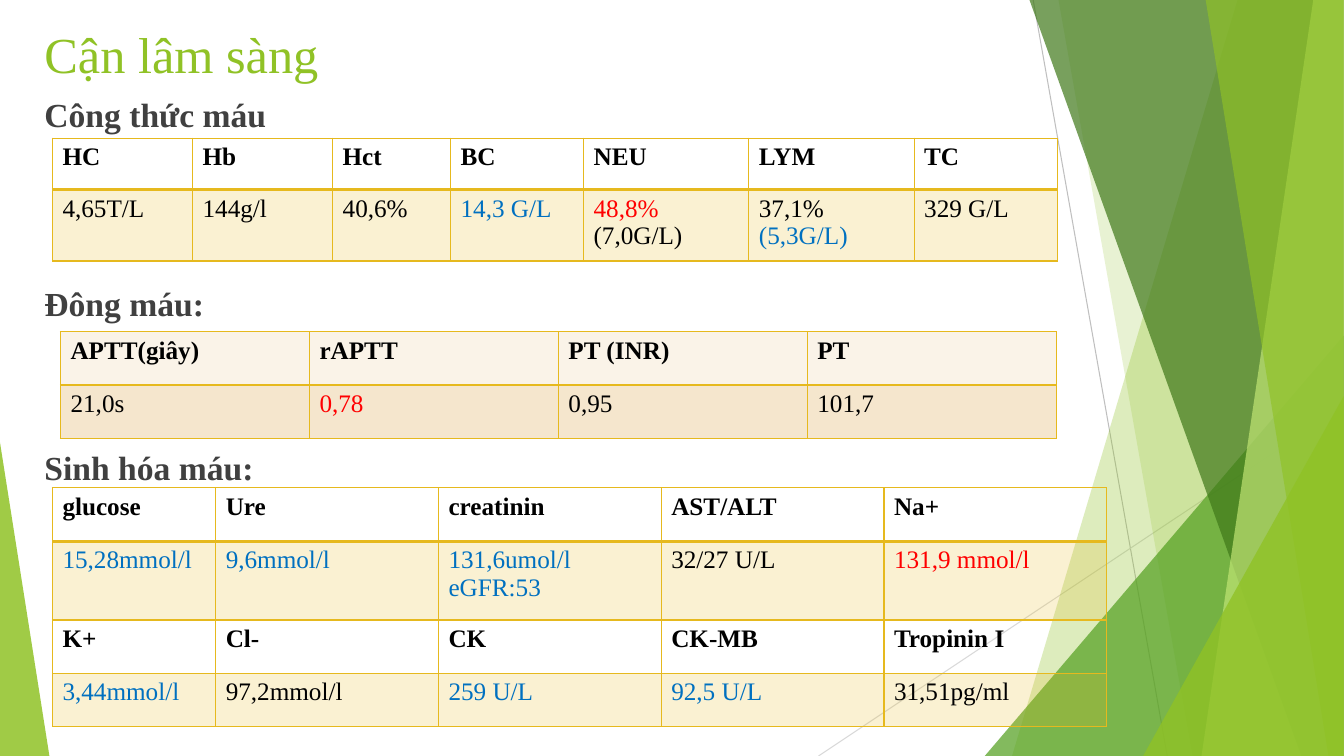
from lxml import etree
from pptx import Presentation
from pptx import util as u
from pptx.dml.color import RGBColor
from pptx.enum import shapes, text
from pptx.oxml import ns

# ---- Content
FONT = "Times New Roman"
COLORS = {
    "lime": "90C226", "green": "54A021", "forest": "3F7819", "pale": "C0E474",
    "gold": "E6B91E", "cream": "FAF3E8", "sand": "F5E6CD", "heading": "404040",
    "black": "000000", "red": "FF0000", "blue": "0070C0",
    "grey": "BFBFBF", "silver": "D9D9D9",
}
TITLE = "Cận lâm sàng"
# heading, space before in points
HEADINGS = [("Công thức máu", 3), ("Đông máu:", 106), ("Sinh hóa máu:", 89)]

# A cell is plain black text or a list of lines, each a list of (text, colour) runs
BLOOD_COUNT = [
    ["HC", "Hb", "Hct", "BC", "NEU", "LYM", "TC"],
    ["4,65T/L", "144g/l", "40,6%", [[("14,3 G/L", "blue")]],
     [[("48,8% ", "red"), ("(7,0G/L)", "black")]],
     [[("37,1%", "black")], [("(5,3G/L)", "blue")]], "329 G/L"],
]
BIOCHEMISTRY = [
    ["glucose", "Ure", "creatinin", "AST/ALT", "Na+"],
    [[[("15,28mmol/l", "blue")]], [[("9,6mmol/l", "blue")]],
     [[("131,6umol/l", "blue")], [("eGFR:53", "blue")]],
     "32/27 U/L", [[("131,9 mmol/l", "red")]]],
    ["K+", "Cl-", "CK", "CK-MB", "Tropinin I"],
    [[[("3,44mmol/l", "blue")]], "97,2mmol/l", [[("259 U/L", "blue")]],
     [[("92,5 U/L", "blue")]], "31,51pg/ml"],
]
COAGULATION = [
    ["APTT(giây)", "rAPTT", "PT (INR)", "PT"],
    ["21,0s", [[("0,78", "red")]], "0,95", "101,7"],
]
# Fills of (label rows, value rows): colour and opacity, or None
TINTED = (None, ("gold", 20))
SANDY = (("cream", 100), ("sand", 100))
# left, top, column widths, row heights, cells, fills, line under first row
TABLES = [
    (52, 137, [139, 139, 117, 132, 164, 164, 142], [51, 71], BLOOD_COUNT, TINTED, 2),
    (52, 484, [162] + [221] * 4, [53, 78, 53, 53], BIOCHEMISTRY, TINTED, 2),
    (60, 329, [247] * 4, [53, 53], COAGULATION, SANDY, 1),
]

# Background facets
W, H = 1333, 750
LINES = [((1025, 0), (1158, H), "grey"), ((W, 403), (812, H), "silver")]
# top-left x, bottom-left x, colour, opacity; each reaches the right edge
BANDS = {
    "back": [(1228, 1004, "lime", 30), (1050, 1183, "lime", 20)],
    "front": [(1021, 1291, "forest", 70), (1303, 1192, "pale", 70),
              (1196, 1318, "lime", 65)],
}
# left, top, width, apex position, colour, opacity; each stands on the bottom edge
TRIANGLES = {
    "back": [(977, 333, 356, 1, "green", 72)],
    "front": [(1134, 393, 199, 1, "lime", 80), (0, 439, 49, 0, "lime", 85)],
}


# ---- Helpers
def px(n):
    return u.Emu(n * 9144)


def rgb(name):
    return RGBColor.from_string(COLORS[name])


def paint(fill, name, opacity):
    fill.solid()
    fill.fore_color.rgb = rgb(name)
    if opacity < 100:
        clr = fill._xPr.find(".//" + ns.qn("a:srgbClr"))
        etree.SubElement(clr, ns.qn("a:alpha"), val=str(opacity * 1000))


def style(font, size, color, bold):
    font.name, font.size, font.bold = FONT, u.Pt(size), bold
    font.color.rgb = rgb(color)


def finish_facet(sp, color, opacity):
    sp.shadow.inherit = False
    paint(sp.fill, color, opacity)
    sp.line.fill.background()


def add_facets(layer):
    for top_x, bottom_x, color, opacity in BANDS[layer]:
        fb = s.shapes.build_freeform(top_x, -1, scale=9144)
        fb.add_line_segments([(W, -1), (W, H), (bottom_x, H)], close=True)
        finish_facet(fb.convert_to_shape(), color, opacity)
    for x, y, w, apex, color, opacity in TRIANGLES[layer]:
        sp = s.shapes.add_shape(shapes.MSO_SHAPE.ISOSCELES_TRIANGLE,
                                px(x), px(y), px(w), px(H - y))
        sp.adjustments[0] = apex
        finish_facet(sp, color, opacity)


def set_borders(cell, top, bottom):
    tcPr = cell._tc.get_or_add_tcPr()
    for i, (side, width) in enumerate([("L", 1), ("R", 1), ("T", top), ("B", bottom)]):
        ln = etree.Element(ns.qn("a:ln" + side), w=str(u.Pt(width)))
        fill = etree.SubElement(ln, ns.qn("a:solidFill"))
        etree.SubElement(fill, ns.qn("a:srgbClr"), val=COLORS["gold"])
        tcPr.insert(i, ln)


def fill_cell(cell, content, bold):
    lines = [[(content, "black")]] if isinstance(content, str) else content
    tf = cell.text_frame
    for i, runs in enumerate(lines):
        p = tf.add_paragraph() if i else tf.paragraphs[0]
        for words, color in runs:
            r = p.add_run()
            r.text = words
            style(r.font, 18, color, bold)


def add_lab_table(x, y, cols, rows, cells, fills, rule):
    tbl = s.shapes.add_table(len(rows), len(cols), px(x), px(y),
                             px(sum(cols)), px(sum(rows))).table
    tbl.first_row = tbl.horz_banding = False
    for c, w in enumerate(cols):
        tbl.columns[c].width = px(w)
    for r, h in enumerate(rows):
        tbl.rows[r].height = px(h)
        for c, content in enumerate(cells[r]):
            cell = tbl.cell(r, c)
            fill_cell(cell, content, bold=r % 2 == 0)
            if fills[r % 2]:
                paint(cell.fill, *fills[r % 2])
            else:
                cell.fill.background()
            set_borders(cell, rule if r == 1 else 1, rule if r == 0 else 1)


def place(sp, x, y, w, h):
    sp.left, sp.top, sp.width, sp.height = px(x), px(y), px(w), px(h)
    s.shapes.element.append(sp.element)  # in front of the facets
    tf = sp.text_frame
    tf.auto_size = text.MSO_AUTO_SIZE.NONE
    return tf


# ---- Slide
prs = Presentation()
prs.slide_width, prs.slide_height = u.Emu(12192000), u.Emu(6858000)
s = prs.slides.add_slide(prs.slide_layouts[1])

# Background
for start, end, color in LINES:
    cx = s.shapes.add_connector(shapes.MSO_CONNECTOR.STRAIGHT,
                                *map(px, start + end))
    cx.line.color.rgb, cx.line.width = rgb(color), u.Pt(0.75)
    etree.SubElement(cx.element.spPr, ns.qn("a:effectLst"))
add_facets("back")
add_facets("front")

# Title
tf = place(s.shapes.title, 34, 18, 1160, 70)
tf.vertical_anchor = text.MSO_ANCHOR.BOTTOM
p = tf.paragraphs[0]
p.text, p.alignment = TITLE, text.PP_ALIGN.LEFT
style(p.font, 36, "lime", False)

# Section headings
tf = place(s.placeholders[1], 34, 88, 1208, 588)
for i, (heading, gap) in enumerate(HEADINGS):
    p = tf.add_paragraph() if i else tf.paragraphs[0]
    p.text, p.space_before = heading, u.Pt(gap)
    style(p.font, 24, "heading", True)
    pPr = p._p.get_or_add_pPr()
    pPr.set("marL", "0")
    pPr.set("indent", "0")
    pPr.insert_element_before(etree.Element(ns.qn("a:buNone")),
                              "a:tabLst", "a:defRPr", "a:extLst")

# Lab tables
for table in TABLES:
    add_lab_table(*table)

prs.save("out.pptx")
